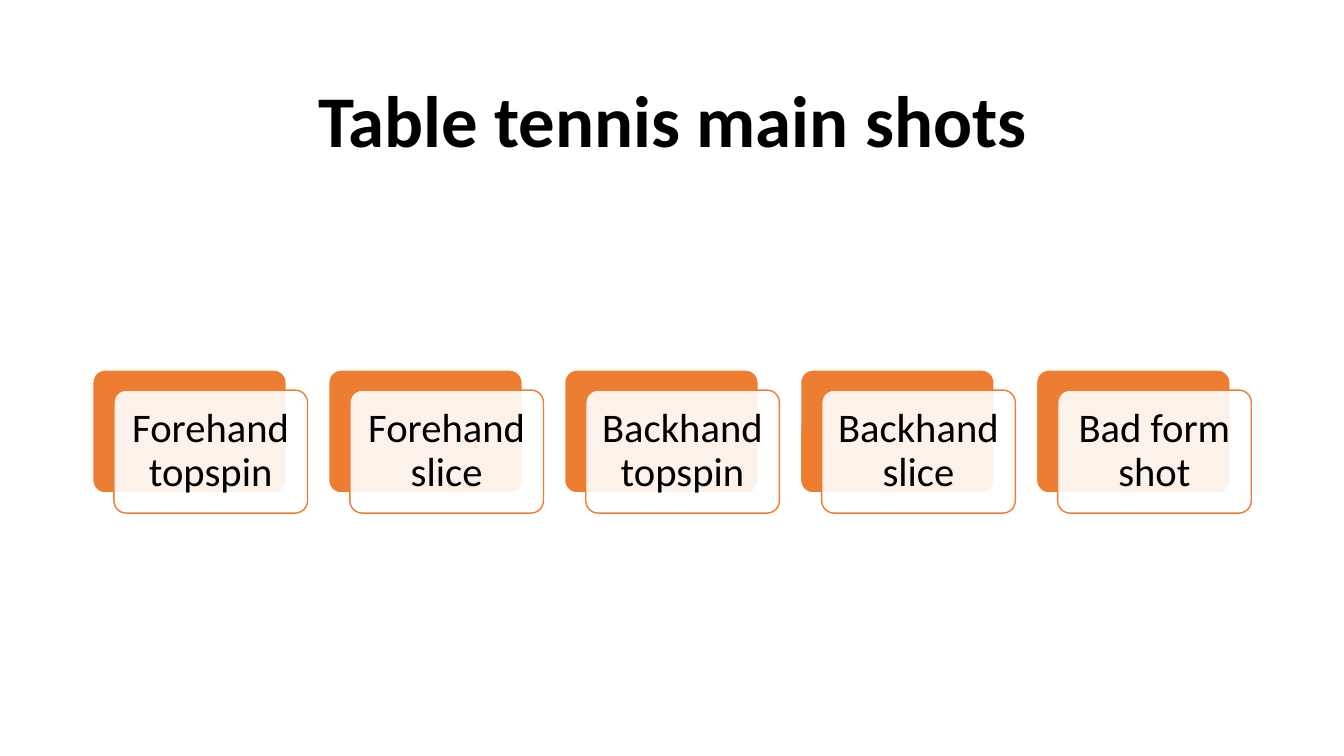
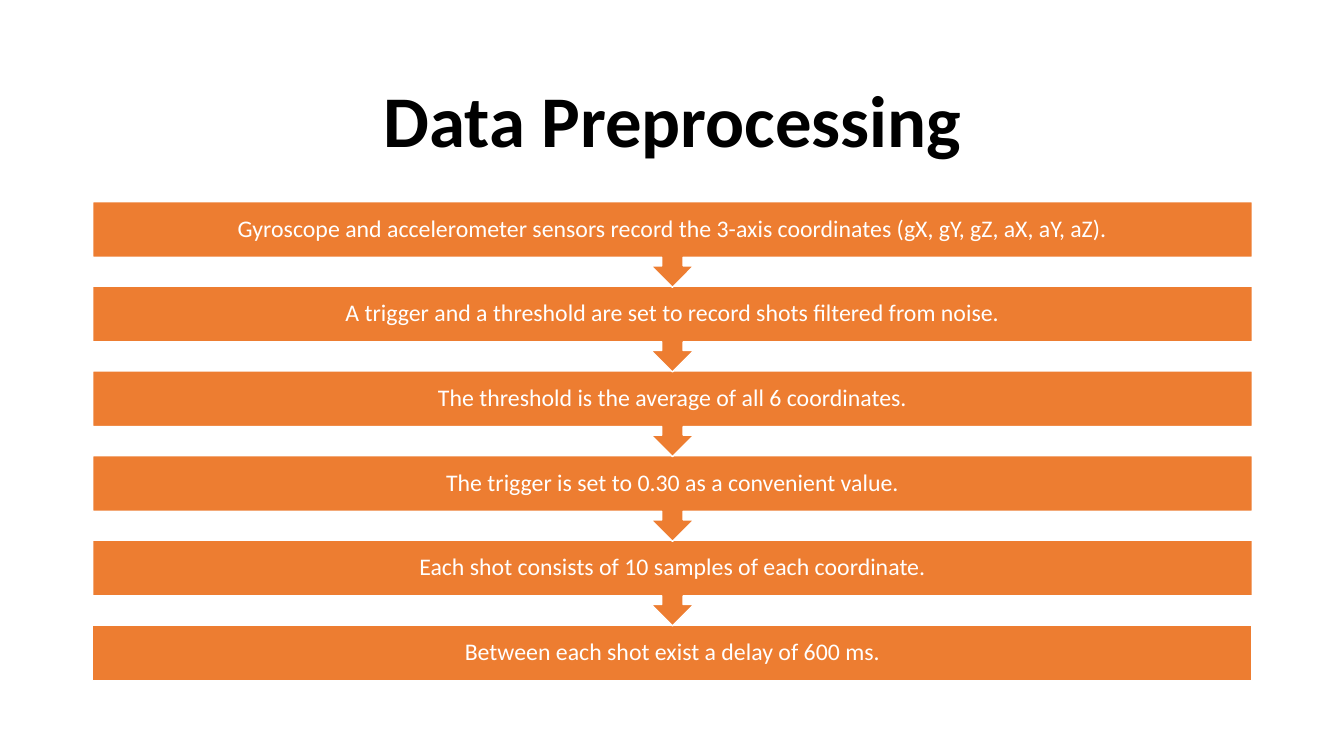
from pptx import Presentation
from pptx.dml.color import RGBColor
from pptx.enum.shapes import MSO_SHAPE
from pptx.enum.text import MSO_ANCHOR, PP_ALIGN
from pptx.oxml.ns import qn
from pptx.util import Emu, Pt
from lxml import etree

ROUNDED = MSO_SHAPE.ROUNDED_RECTANGLE
BAR = MSO_SHAPE.RECTANGLE
ARROW_BAR = MSO_SHAPE.DOWN_ARROW_CALLOUT
CENTER = PP_ALIGN.CENTER
MIDDLE = MSO_ANCHOR.MIDDLE

FONT = "Calibri"
ORANGE, WHITE, BLACK = "ED7D31", "FFFFFF", "000000"
LEFT, CONTENT_WIDTH = 92, 1150

SHOTS = ["Forehand topspin", "Forehand slice", "Backhand topspin",
         "Backhand slice", "Bad form shot"]
STEPS = [
    "Gyroscope and accelerometer sensors record the 3-axis coordinates (gX, gY, gZ, aX, aY, aZ).",
    "A trigger and a threshold are set to record shots filtered from noise.",
    "The threshold is the average of all 6 coordinates.",
    "The trigger is set to 0.30 as a convenient value.",
    "Each shot consists of 10 samples of each coordinate.",
    "Between each shot exist a delay of 600 ms.",
]


def px(length):
    """Turn px, 100 to the inch, into EMU."""
    return Emu(length * 9144)


def color(value):
    """Turn a hex string into a colour."""
    return RGBColor.from_string(value)


class Deck:
    """Hold the style, the presentation and the current slide."""

    def __init__(self):
        """Start an empty widescreen presentation."""
        self.presentation = Presentation()
        self.presentation.slide_width = px(1333)
        self.presentation.slide_height = px(750)
        self.slide = None

    def start_slide(self, title):
        """Add a blank slide with a centred bold title."""
        blank = self.presentation.slide_layouts[6]
        self.slide = self.presentation.slides.add_slide(blank)
        heading = self.slide.shapes.add_textbox(
            px(LEFT), px(61), px(CONTENT_WIDTH), px(124))
        self.set_text(heading, title, 52, BLACK, bold=True)

    def set_text(self, shape, text, size, ink, bold=False, inset=None):
        """Set centred text in a shape."""
        frame = shape.text_frame
        frame.text = text
        frame.word_wrap = True
        frame.vertical_anchor = MIDDLE
        if inset is not None:
            frame.margin_left = frame.margin_right = px(inset)
            frame.margin_top = frame.margin_bottom = px(inset)
        paragraph = frame.paragraphs[0]
        paragraph.alignment = CENTER
        paragraph.line_spacing = 0.9
        font = paragraph.runs[0].font
        font.name, font.size, font.bold = FONT, Pt(size), bold
        font.color.rgb = color(ink)

    def panel(self, preset, left, top, width, height, fill=ORANGE, line=WHITE):
        """Add a filled and outlined preset shape."""
        shape = self.slide.shapes.add_shape(
            preset, px(left), px(top), px(width), px(height))
        shape.shadow.inherit = False
        shape.fill.solid()
        shape.fill.fore_color.rgb = color(fill)
        shape.line.color.rgb = color(line)
        shape.line.width = Pt(1)
        return shape

    def shot_card(self, left, top, shot):
        """Add an orange card with a translucent label in front."""
        back = self.panel(ROUNDED, left, top, 192, 122)
        label = self.panel(ROUNDED, left + 21, top + 20, 192, 122, WHITE, ORANGE)
        for card in (back, label):
            card.adjustments[0] = 0.1
        tint = label.element.spPr.find(qn("a:solidFill"))[0]
        etree.SubElement(tint, qn("a:alpha"), val="90000")
        self.set_text(label, shot, 29, BLACK, inset=11)

    def step_bar(self, top, step, is_last):
        """Add a process step, with an arrow to the next one."""
        preset, height = (BAR, 55) if is_last else (ARROW_BAR, 85)
        bar = self.panel(preset, LEFT, top, CONTENT_WIDTH, height)
        self.set_text(bar, step, 17, WHITE, inset=13)


def main():
    """Build and save both slides."""
    deck = Deck()
    deck.start_slide("Table tennis main shots")
    for index, shot in enumerate(SHOTS):
        deck.shot_card(LEFT + 234 * index, 367, shot)

    deck.start_slide("Data Preprocessing")
    last = len(STEPS) - 1
    for index in range(last, -1, -1):
        deck.step_bar(200 + 84 * index, STEPS[index], index == last)

    deck.presentation.save("out.pptx")


if __name__ == "__main__":
    main()
